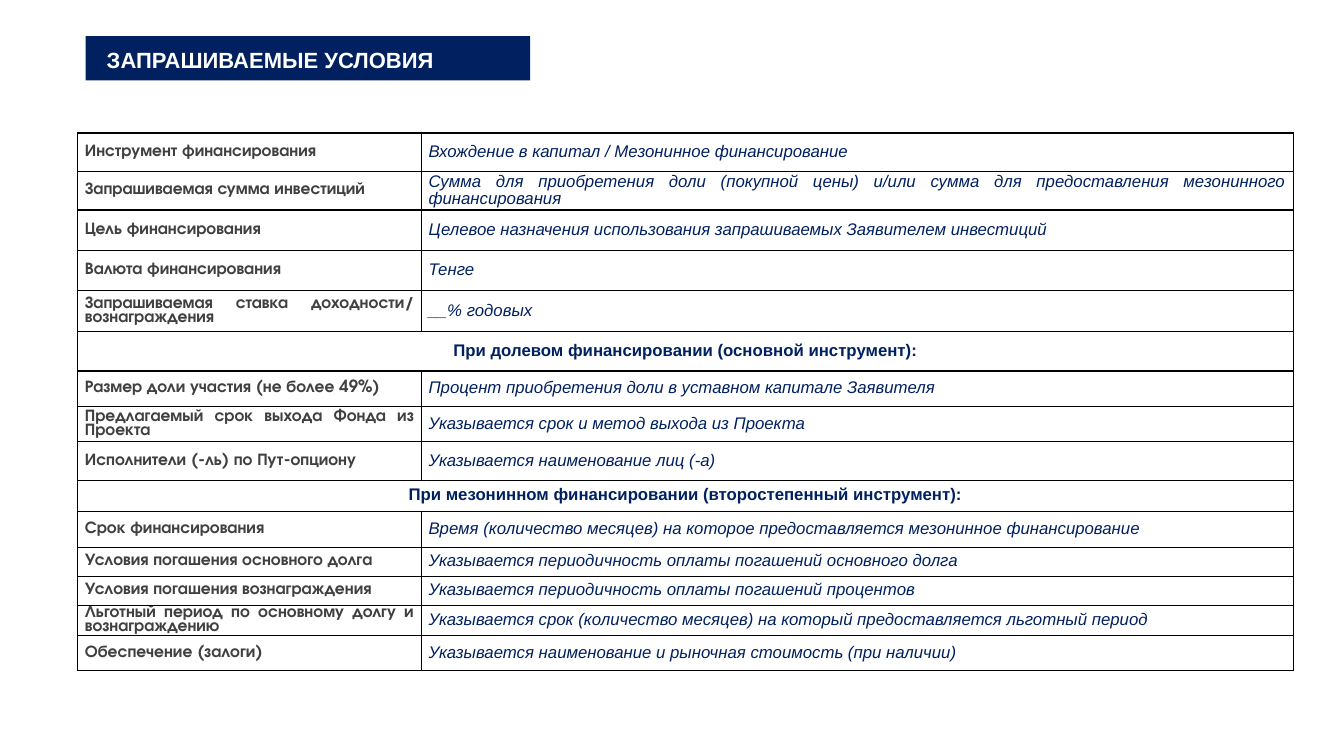
from lxml import etree
from pptx import Presentation, util as u
from pptx.dml.color import RGBColor
from pptx.enum import shapes, text
from pptx.oxml.ns import qn

NAVY, GREY, BLACK, WHITE = "002060", "404040", "000000", "FFFFFF"
TITLE = "ЗАПРАШИВАЕМЫЕ УСЛОВИЯ"
# Row height in cm, term, description; a row without description spans the table
ROWS = [
    (0.97, "Инструмент финансирования",
     "Вхождение в капитал / Мезонинное финансирование"),
    (0.97, "Запрашиваемая сумма инвестиций",
     "Сумма для приобретения доли (покупной цены) и/или сумма "
     "для предоставления мезонинного финансирования"),
    (1.02, "Цель финансирования",
     "Целевое назначения использования запрашиваемых Заявителем инвестиций"),
    (1.02, "Валюта финансирования", "Тенге"),
    (1.02, "Запрашиваемая ставка доходности/ вознаграждения", "__% годовых"),
    (1.0, "При долевом финансировании (основной инструмент):", None),
    (0.89, "Размер доли участия (не более 49%)",
     "Процент приобретения доли в уставном капитале Заявителя"),
    (0.89, "Предлагаемый срок выхода Фонда из Проекта",
     "Указывается срок и метод выхода из Проекта"),
    (0.97, "Исполнители (-ль) по Пут-опциону",
     "Указывается наименование лиц (-а)"),
    (0.78, "При мезонинном финансировании (второстепенный инструмент):", None),
    (0.91, "Срок финансирования",
     "Время (количество месяцев) на которое предоставляется "
     "мезонинное финансирование"),
    (0.73, "Условия погашения основного долга",
     "Указывается периодичность оплаты погашений основного долга"),
    (0.73, "Условия погашения вознаграждения",
     "Указывается периодичность оплаты погашений процентов"),
    (0.77, "Льготный период по основному долгу и вознаграждению",
     "Указывается срок (количество месяцев) на который "
     "предоставляется льготный период"),
    (0.88, "Обеспечение (залоги)",
     "Указывается наименование и рыночная стоимость (при наличии)"),
]
COLS = (8.66, 21.97)


def paint(hue):
    return RGBColor.from_string(hue)


def write(para, words, size, face, hue, bold=False, slant=False):
    run = para.add_run()
    run.text = words
    font = run.font
    font.size, font.name = u.Pt(size), face
    font.bold, font.italic = bold, slant
    font.color.rgb = paint(hue)


def border(cell):
    props = cell._tc.get_or_add_tcPr()
    for at, side in enumerate(("lnL", "lnR", "lnT", "lnB")):
        line = etree.Element(qn("a:" + side), w=str(u.Pt(1)))
        fill = etree.SubElement(line, qn("a:solidFill"))
        etree.SubElement(fill, qn("a:srgbClr"), val=BLACK)
        props.insert(at, line)


def fill_cell(cell, words, align, face, hue, bold, slant):
    cell.vertical_anchor = text.MSO_ANCHOR.MIDDLE
    para = cell.text_frame.paragraphs[0]
    para.alignment = align
    para.line_spacing = 0.9
    write(para, words, 12, face, hue, bold, slant)


def add_terms(slide):
    high = sum(row[0] for row in ROWS)
    frame = slide.shapes.add_table(len(ROWS), len(COLS), u.Cm(1.96), u.Cm(3.35),
                                   u.Cm(sum(COLS)), u.Cm(high))
    table = frame.table
    table.first_row = table.horz_banding = False
    for col, wide in zip(table.columns, COLS):
        col.width = u.Cm(wide)
    align = text.PP_ALIGN
    for i, (high, term, note) in enumerate(ROWS):
        table.rows[i].height = u.Cm(high)
        left, right = table.cell(i, 0), table.cell(i, 1)
        for cell in (left, right):
            cell.margin_left = cell.margin_right = u.Cm(0.18)
            cell.margin_top = cell.margin_bottom = 0
            cell.fill.background()
            border(cell)
        if note is None:
            left.merge(right)
            fill_cell(left, term, align.CENTER, "Arial", NAVY, True, False)
        else:
            fill_cell(left, term, align.JUSTIFY, "TeX Gyre Adventor", GREY,
                      True, False)
            fill_cell(right, note, align.JUSTIFY, "Arial", NAVY, False, True)


def add_title(slide):
    bar = slide.shapes.add_shape(shapes.MSO_SHAPE.RECTANGLE, u.Cm(2.16),
                                 u.Cm(0.91), u.Cm(11.2), u.Cm(1.12))
    bar.shadow.inherit = False
    bar.fill.solid()
    bar.fill.fore_color.rgb = paint(NAVY)
    bar.line.fill.background()

    title = slide.shapes.title
    bar._element.addnext(title._element)  # bring the title above the bar
    title.left, title.top = u.Cm(2.69), u.Cm(1.12)
    title.width, title.height = u.Cm(10), u.Cm(0.71)
    frame = title.text_frame
    frame.margin_left = frame.margin_right = frame.margin_bottom = 0
    frame.margin_top = u.Cm(0.05)
    frame.word_wrap = True
    frame.auto_size = text.MSO_AUTO_SIZE.NONE
    frame.vertical_anchor = text.MSO_ANCHOR.MIDDLE
    para = frame.paragraphs[0]
    para.alignment = text.PP_ALIGN.LEFT
    write(para, TITLE, 15.7, "Arial", WHITE, True)


def main():
    deck = Presentation()
    deck.slide_width, deck.slide_height = u.Cm(33.87), u.Cm(19.05)
    slide = deck.slides.add_slide(deck.slide_layouts[5])
    add_terms(slide)
    add_title(slide)
    deck.save("out.pptx")


if __name__ == "__main__":
    main()
